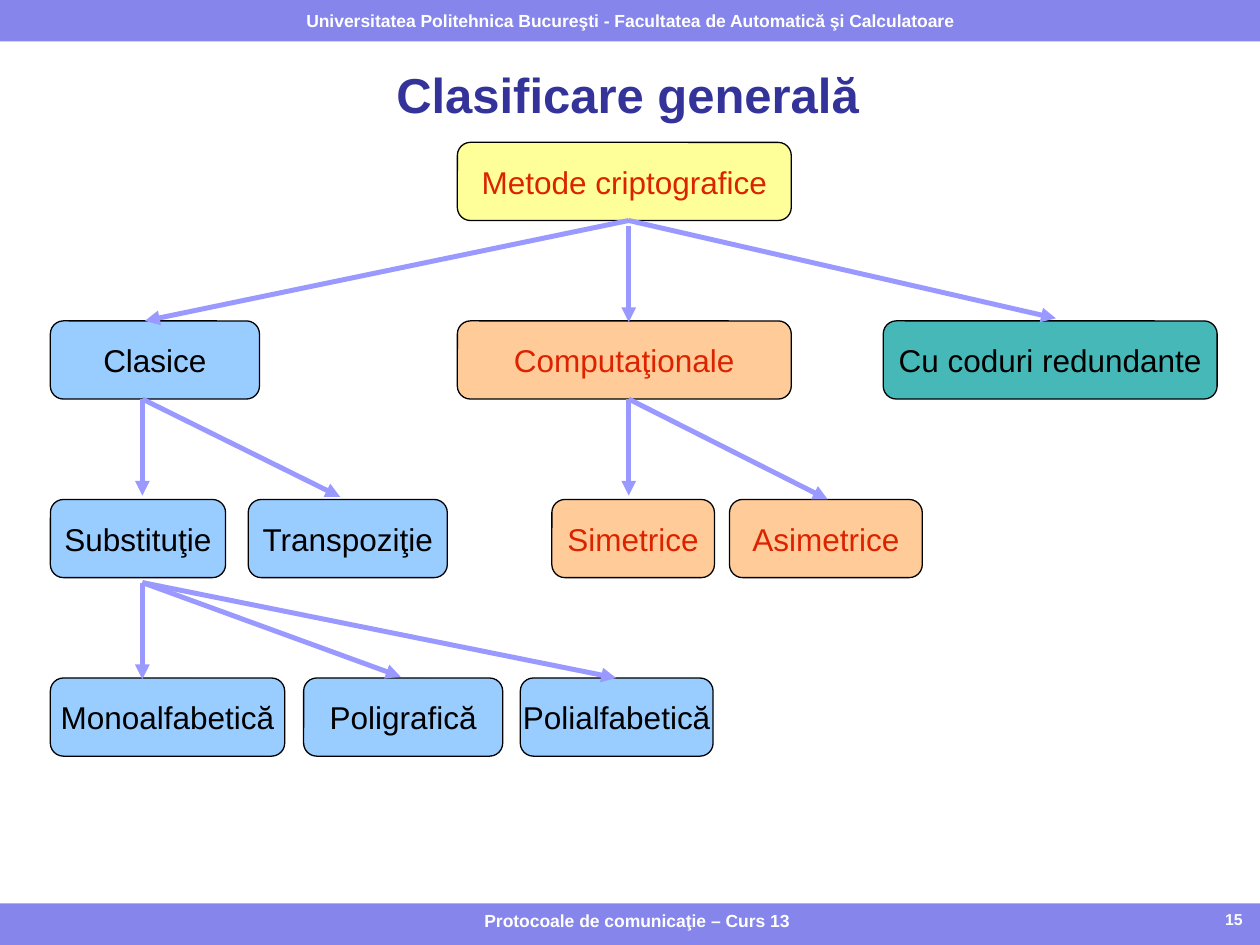
from lxml.etree import SubElement
from pptx import Presentation
from pptx.dml.color import RGBColor
from pptx.enum.shapes import MSO_CONNECTOR as Connector, MSO_SHAPE as Shape
from pptx.enum.text import MSO_ANCHOR as Anchor, MSO_AUTO_SIZE as AutoSize, PP_ALIGN as Align
from pptx.oxml.ns import qn
from pptx.util import Inches, Pt

BLUE, PEACH, YELLOW, TEAL = "99CCFF", "FFCC99", "FFFF99", "47B8B8"
BLACK, RED, WHITE = "000000", "DC2300", "FFFFFF"


def color(value):
    return RGBColor.from_string(value)


def write(frame, text, size=18, ink=BLACK, bold=False, align=Align.CENTER,
          anchor=Anchor.MIDDLE, wrap=True, margins=(0.1, 0.05)):
    frame.auto_size = AutoSize.NONE
    frame.word_wrap = wrap
    frame.vertical_anchor = anchor
    frame.margin_left = frame.margin_right = Inches(margins[0])
    frame.margin_top = frame.margin_bottom = Inches(margins[1])
    para = frame.paragraphs[0]
    para.alignment = align
    span = para.add_run()
    span.text = text
    span.font.name = "Arial"
    span.font.size = Pt(size)
    span.font.bold = bold
    span.font.color.rgb = color(ink)


class TreeSlide:
    """Draws a tree on one slide, measured in a grid of 100 columns by 75 rows."""

    bar_fill, title_ink, arrow_ink = "8585EB", "333399", "9999FF"
    first_row, level_step, box_height = 11.3, 14.17, 6.2

    def __init__(self, deck):
        self.cell = deck.slide_width / 100
        self.page = deck.slides.add_slide(deck.slide_layouts[5])

    def grid(self, *cells):
        return [round(value * self.cell) for value in cells]

    def level_top(self, level):
        return self.first_row + level * self.level_step

    def title(self, text):
        box = self.page.shapes.title
        box.left, box.top, box.width, box.height = self.grid(4.2, 4.5, 91.2, 5.9)
        write(box.text_frame, text, size=28, ink=self.title_ink, bold=True, margins=(0, 0))

    def shape(self, kind, cells, fill):
        box = self.page.shapes.add_shape(kind, *self.grid(*cells))
        box.shadow.inherit = False
        box.fill.solid()
        box.fill.fore_color.rgb = color(fill)
        box.line.fill.background()
        return box

    def bar(self, row):
        return self.shape(Shape.RECTANGLE, (0, row, 100, 3.3), self.bar_fill)

    def label(self, text, cells, **style):
        box = self.page.shapes.add_textbox(*self.grid(*cells))
        write(box.text_frame, text, ink=WHITE, bold=True, anchor=Anchor.TOP, **style)

    def node(self, text, level, column, width, fill, ink=BLACK):
        cells = column, self.level_top(level), width, self.box_height
        box = self.shape(Shape.ROUNDED_RECTANGLE, cells, fill)
        box.line.color.rgb = color(BLACK)
        box.line.width = Pt(0.75)
        write(box.text_frame, text, ink=ink, wrap=False)

    def arrow(self, level, start, end, start_gap=0, end_gap=0):
        start_row = self.level_top(level) + self.box_height + start_gap
        end_row = self.level_top(level + 1) + end_gap
        line = self.page.shapes.add_connector(
            Connector.STRAIGHT, *self.grid(start, start_row, end, end_row))
        line.line.color.rgb = color(self.arrow_ink)
        line.line.width = Pt(2.83)
        SubElement(line.line._get_or_add_ln(), qn("a:tailEnd"), type="triangle")
        SubElement(line._element.spPr, qn("a:effectLst"))


def main():
    deck = Presentation()
    deck.slide_width, deck.slide_height = Inches(10), Inches(7.5)
    tree = TreeSlide(deck)
    tree.bar(71.7)
    write(tree.bar(0).text_frame,
          "Universitatea Politehnica Bucureşti - Facultatea de Automatică şi Calculatoare",
          size=10, ink=WHITE, bold=True, wrap=False)
    tree.label("Protocoale de comunicaţie – Curs 13", (25.8, 71.7, 49.5, 2.9), size=10)
    tree.label("15", (76.7, 71.7, 22.9, 2.9), size=9, align=Align.RIGHT)
    tree.title("Clasificare generală")

    for node in (
        ("Metode criptografice", 0, 36.3, 26.5, YELLOW, RED),
        ("Clasice", 1, 4, 16.6, BLUE),
        ("Computaţionale", 1, 36.3, 26.5, PEACH, RED),
        ("Cu coduri redundante", 1, 70.1, 26.5, TEAL),
        ("Substituţie", 2, 4, 13.9, BLUE),
        ("Transpoziţie", 2, 19.7, 15.8, BLUE),
        ("Simetrice", 2, 43.8, 12.9, PEACH, RED),
        ("Asimetrice", 2, 57.9, 15.3, PEACH, RED),
        ("Monoalfabetică", 3, 4, 18.6, BLUE),
        ("Poligrafică", 3, 24.1, 15.8, BLUE),
        ("Polialfabetică", 3, 41.3, 15.3, BLUE),
    ):
        tree.node(*node)

    for arrow in (
        (0, 49.9, 11.5),
        (0, 49.9, 49.9, 0.4, 0.1),
        (0, 49.9, 83.8, 0, -0.2),
        (1, 11.3, 11.3, 0, -0.3),
        (1, 11.3, 27, 0, -0.2),
        (1, 49.9, 49.9, 0, -0.3),
        (1, 49.9, 65.7),
        (2, 11.3, 11.3, 0.4, 0.1),
        (2, 11.3, 31.8, 0.4, -0.1),
        (2, 11.3, 48.9, 0.4),
    ):
        tree.arrow(*arrow)
    deck.save("out.pptx")


if __name__ == "__main__":
    main()
